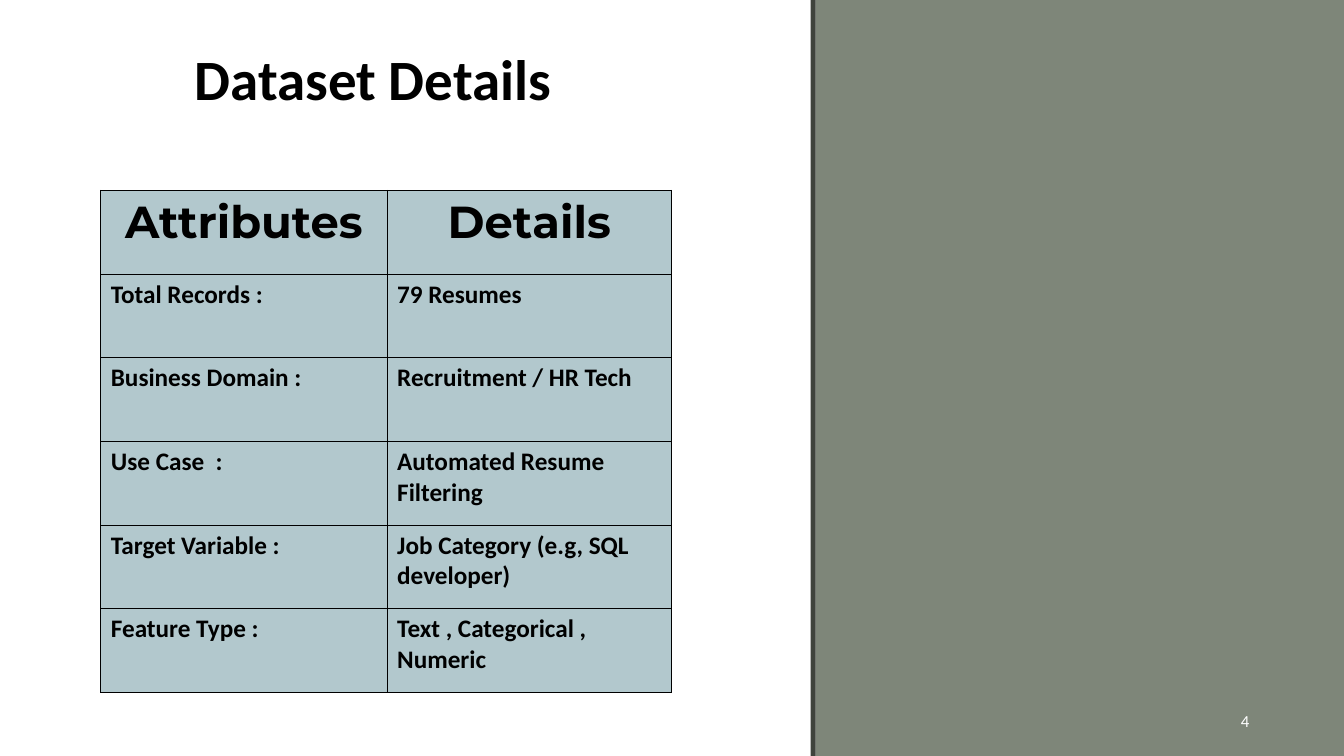
from lxml import etree
from pptx import Presentation
from pptx.dml.color import RGBColor
from pptx.enum.shapes import MSO_SHAPE
from pptx.enum.text import MSO_ANCHOR, MSO_AUTO_SIZE, PP_ALIGN
from pptx.oxml.ns import qn
from pptx.util import Inches, Pt

RECTANGLE = MSO_SHAPE.RECTANGLE
MIDDLE = MSO_ANCHOR.MIDDLE
NO_AUTOFIT = MSO_AUTO_SIZE.NONE
LEFT, CENTER, RIGHT = PP_ALIGN.LEFT, PP_ALIGN.CENTER, PP_ALIGN.RIGHT

BLACK = RGBColor(0x00, 0x00, 0x00)
WHITE = RGBColor(0xFF, 0xFF, 0xFF)
SAGE = RGBColor(0x7E, 0x86, 0x79)
DARK_SAGE = RGBColor(0x3F, 0x43, 0x3C)
PALE_BLUE = RGBColor(0xB2, 0xC8, 0xCD)

BODY_FONT, HEADER_FONT = "Calibri", "Montserrat"
SLIDE_WIDTH, SLIDE_HEIGHT = Inches(13.33), Inches(7.5)
PANEL_LEFT = Inches(8.09)
STRIPE_WIDTH = Inches(0.05)
ROW_HEIGHT = Inches(0.83)
COLUMN_WIDTHS = (Inches(2.84), Inches(2.82))

DATASET_ROWS = [
    ("Attributes", "Details"),
    ("Total Records :", "79 Resumes"),
    ("Business Domain :", "Recruitment / HR Tech"),
    ("Use Case  :", "Automated Resume Filtering"),
    ("Target Variable :", "Job Category (e.g, SQL developer)"),
    ("Feature Type :", "Text , Categorical , Numeric"),
]


def write(frame, text, size, color, font=BODY_FONT, bold=False, align=LEFT):
    """Write one formatted run in the first paragraph and return the paragraph."""
    paragraph = frame.paragraphs[0]
    paragraph.alignment = align
    run = paragraph.add_run()
    run.text = text
    run.font.name = font
    run.font.size = Pt(size)
    run.font.bold = bold
    run.font.color.rgb = color
    return paragraph


def add_band(slide, left, width, color):
    """Add a full-height band of plain colour."""
    band = slide.shapes.add_shape(RECTANGLE, left, 0, width, SLIDE_HEIGHT)
    band.shadow.inherit = False
    band.fill.solid()
    band.fill.fore_color.rgb = color
    band.line.fill.background()


def add_title(slide, text):
    """Place and format the title placeholder."""
    title = slide.shapes.title
    title.left, title.top = Inches(1.83), Inches(0.35)
    title.width, title.height = Inches(4), Inches(0.92)
    title.text_frame.auto_size = NO_AUTOFIT
    title.text_frame.vertical_anchor = MIDDLE
    write(title.text_frame, text, 40.7, BLACK, bold=True).line_spacing = 0.9


def add_page_number(slide, number):
    """Add the page number at the foot of the side panel."""
    box = slide.shapes.add_textbox(Inches(11.63), Inches(6.95), Inches(0.86), Inches(0.4))
    box.text_frame.word_wrap = True
    box.text_frame.vertical_anchor = MIDDLE
    write(box.text_frame, str(number), 12, WHITE, align=RIGHT)


def outline_cell(cell, color, width):
    """Draw a solid border on all four sides of a cell."""
    properties = cell._tc.get_or_add_tcPr()
    for side in ("a:lnL", "a:lnR", "a:lnT", "a:lnB"):
        border = etree.SubElement(properties, qn(side), w=str(Pt(width)))
        fill = etree.SubElement(border, qn("a:solidFill"))
        etree.SubElement(fill, qn("a:srgbClr"), val=str(color))


def add_dataset_table(slide, rows):
    """Add the attribute table with its header row."""
    table = slide.shapes.add_table(
        len(rows), len(COLUMN_WIDTHS), Inches(1), Inches(1.89),
        sum(COLUMN_WIDTHS), ROW_HEIGHT * len(rows),
    ).table
    for column, width in zip(table.columns, COLUMN_WIDTHS):
        column.width = width
    for row_index, texts in enumerate(rows):
        for column_index, text in enumerate(texts):
            cell = table.cell(row_index, column_index)
            outline_cell(cell, BLACK, 1)
            cell.fill.solid()
            cell.fill.fore_color.rgb = PALE_BLUE
            if row_index == 0:
                write(cell.text_frame, text, 32, BLACK, HEADER_FONT, True, CENTER)
            else:
                write(cell.text_frame, text, 18, BLACK, bold=True)


def main():
    """Build and save the dataset slide."""
    deck = Presentation()
    deck.slide_width, deck.slide_height = SLIDE_WIDTH, SLIDE_HEIGHT
    title_only = deck.slide_layouts[5]
    slide = deck.slides.add_slide(title_only)
    add_band(slide, PANEL_LEFT, SLIDE_WIDTH - PANEL_LEFT, SAGE)
    add_band(slide, PANEL_LEFT - STRIPE_WIDTH, STRIPE_WIDTH, DARK_SAGE)
    add_page_number(slide, 4)
    add_dataset_table(slide, DATASET_ROWS)
    add_title(slide, "Dataset Details")
    deck.save("out.pptx")


if __name__ == "__main__":
    main()
